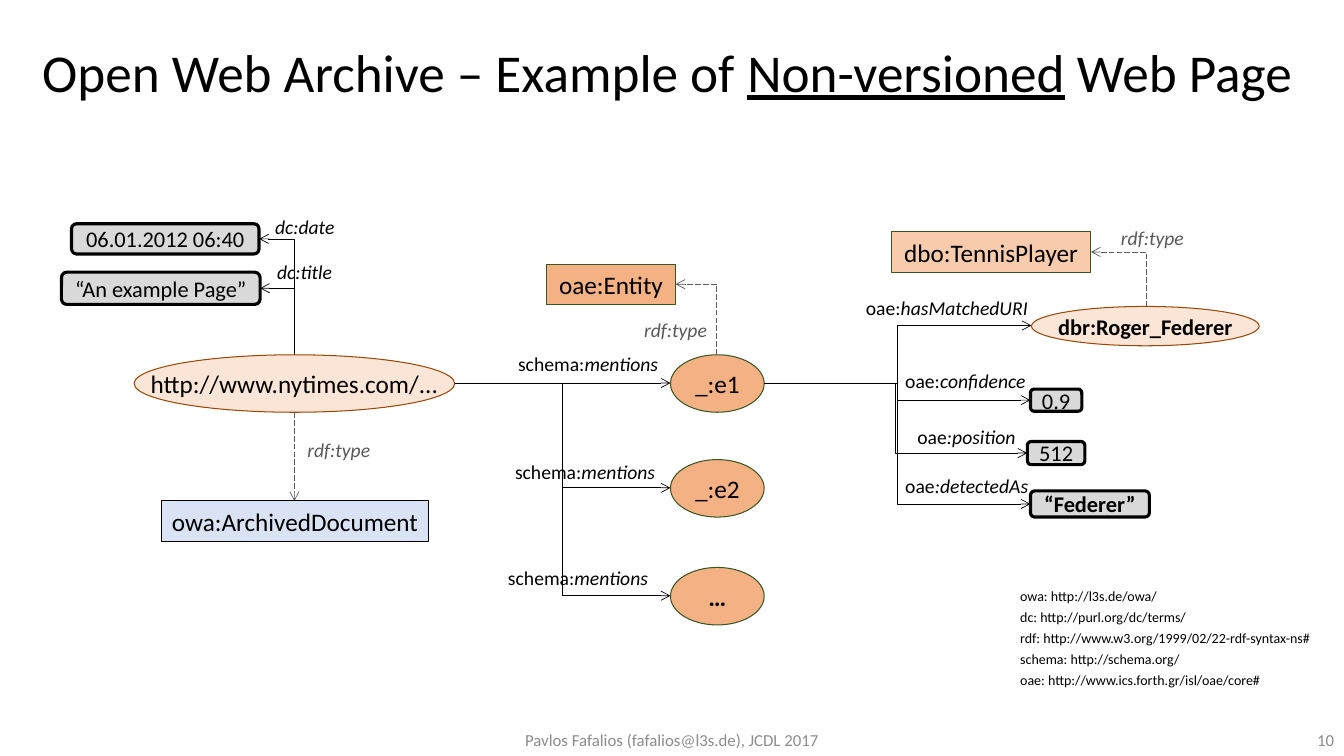
from pptx import Presentation
from pptx.dml.color import RGBColor
from pptx.enum.dml import MSO_LINE
from pptx.enum.shapes import MSO_CONNECTOR, MSO_SHAPE
from pptx.enum.text import MSO_ANCHOR, PP_ALIGN
from pptx.oxml.ns import qn
from pptx.util import Inches, Pt
from lxml import etree

BLACK = RGBColor(0x00, 0x00, 0x00)
GREY = RGBColor(0x59, 0x59, 0x59)
PALE = RGBColor(0x8C, 0x8C, 0x8C)
SILVER = RGBColor(0xD9, 0xD9, 0xD9)
BLUE = RGBColor(0xDA, 0xE3, 0xF3)
CREAM = RGBColor(0xFB, 0xE5, 0xD6)
PEACH = RGBColor(0xF8, 0xCB, 0xAD)
ORANGE = RGBColor(0xF4, 0xB1, 0x83)
BROWN = RGBColor(0x98, 0x48, 0x07)
GREEN = RGBColor(0x38, 0x57, 0x23)

OVAL, RECT, ROUND = MSO_SHAPE.OVAL, MSO_SHAPE.RECTANGLE, MSO_SHAPE.ROUNDED_RECTANGLE
STRAIGHT, ELBOW = MSO_CONNECTOR.STRAIGHT, MSO_CONNECTOR.ELBOW
DASH = MSO_LINE.LONG_DASH
LEFT, CENTER, RIGHT = PP_ALIGN.LEFT, PP_ALIGN.CENTER, PP_ALIGN.RIGHT
TOP, MIDDLE, BOTTOM = MSO_ANCHOR.TOP, MSO_ANCHOR.MIDDLE, MSO_ANCHOR.BOTTOM


def write(frame, lines, size=14, color=BLACK, align=LEFT, anchor=TOP,
          wrap=False, bold=False, italic=False, spacing=None):
    """Each line is a string or a list of (text, font settings) runs."""
    frame.word_wrap = wrap
    frame.vertical_anchor = anchor
    for i, line in enumerate(lines):
        para = frame.paragraphs[0] if i == 0 else frame.add_paragraph()
        para.alignment = align
        if spacing:
            para.line_spacing = spacing
        for words, style in [(line, {})] if isinstance(line, str) else line:
            run = para.add_run()
            run.text = words
            font = run.font
            font.name, font.size, font.color.rgb = "Calibri", Pt(size), color
            font.bold, font.italic = bold, italic
            for key, value in style.items():
                setattr(font, key, value)


def label(slide, x, y, w, h, lines, **style):
    box = slide.shapes.add_textbox(Inches(x), Inches(y), Inches(w), Inches(h))
    write(box.text_frame, lines, **style)


def prop(slide, x, y, w, prefix, name):
    label(slide, x, y, w, 0.34, [[(prefix, {}), (name, {"italic": True})]])


def kind(slide, x, y):
    label(slide, x, y, 0.83, 0.34, ["rdf:type"], color=GREY, italic=True)


def node(slide, form, x, y, w, h, words, fill, edge, size=18, width=0.75, bold=False):
    shape = slide.shapes.add_shape(form, Inches(x), Inches(y), Inches(w), Inches(h))
    shape.shadow.inherit = False
    shape.fill.solid()
    shape.fill.fore_color.rgb = fill
    shape.line.color.rgb = edge
    shape.line.width = Pt(width)
    frame = shape.text_frame
    frame.margin_left = frame.margin_right = frame.margin_top = frame.margin_bottom = 0
    write(frame, [words], size=size, align=CENTER, anchor=MIDDLE, bold=bold)


def pill(slide, x, y, w, h, words, bold=False):
    node(slide, ROUND, x, y, w, h, words, SILVER, BLACK, 16, 2.25, bold)


def arrow(slide, form, x1, y1, x2, y2, color=BLACK, dash=None):
    link = slide.shapes.add_connector(form, Inches(x1), Inches(y1), Inches(x2), Inches(y2))
    link.line.color.rgb = color
    link.line.width = Pt(0.5)
    if dash:
        link.line.dash_style = dash
    etree.SubElement(link.line._get_or_add_ln(), qn("a:tailEnd"), type="arrow")
    etree.SubElement(link._element.spPr, qn("a:effectLst"))
    return link


def corner(slide, x1, y1, x2, y2, **style):
    """Arrow that goes up, then left: a one-bend connector turned by 270 degrees."""
    midx, midy = (x1 + x2) / 2, (y1 + y2) / 2
    dx, dy = (x1 - x2) / 2, (y1 - y2) / 2
    link = arrow(slide, ELBOW, midx - dy, midy + dx, midx + dy, midy - dx, **style)
    props = link._element.spPr
    props.find(qn("a:xfrm")).set("rot", "16200000")
    props.find(qn("a:prstGeom")).set("prst", "bentConnector2")


def heading(slide, x, y, w, h):
    label(slide, x, y, w, h,
          [[("Open Web Archive – Example of ", {}),
            ("Non-versioned", {"underline": True}), (" Web Page", {})]],
          size=38, anchor=MIDDLE, wrap=True, spacing=0.9)


def page(slide, x, y):
    # Archived page, its metadata and its type
    hub = x + 2.31
    corner(slide, hub, y + 1.44, x + 1.96, y + 0.29)
    corner(slide, hub, y + 1.44, x + 1.97, y + 0.78)
    pill(slide, x + 0.1, y + 0.14, 1.86, 0.3, "06.01.2012 06:40")
    pill(slide, x, y + 0.62, 1.97, 0.32, "“An example Page”")
    label(slide, x + 2.02, y, 0.8, 0.34, ["dc:date"], italic=True)
    label(slide, x + 2.04, y + 0.45, 0.76, 0.34, ["dc:title"], italic=True)
    node(slide, OVAL, x + 0.72, y + 1.44, 3.18, 0.57,
         "http://www.nytimes.com/...", CREAM, BROWN)
    arrow(slide, STRAIGHT, hub, y + 2.01, hub, y + 2.89, GREY, DASH)
    kind(slide, x + 2.34, y + 2.22)
    node(slide, RECT, x + 0.99, y + 2.89, 2.65, 0.4, "owa:ArchivedDocument", BLUE, BLACK)


def entities(slide, x, y):
    # Entities mentioned by the page
    start = y + 1.18
    mentions = [("_:e1", 0.9, 0.53, 0.82), ("_:e2", 1.94, 0.5, 1.89), ("…", 3.01, 0.43, 2.95)]
    for words, top, dx, dy in mentions:
        mid = y + top + 0.28
        form = STRAIGHT if words == "_:e1" else ELBOW
        arrow(slide, form, x, start, x + 2.14, mid)
        node(slide, OVAL, x + 2.14, y + top, 0.93, 0.57, words, ORANGE, GREEN,
             bold=words == "…")
        prop(slide, x + dx, y + dy, 1.84, "schema:", "mentions")
    node(slide, RECT, x + 0.91, y, 1.28, 0.4, "oae:Entity", ORANGE, GREEN)
    corner(slide, x + 2.6, y + 0.9, x + 2.19, y + 0.2, color=GREY, dash=DASH)
    kind(slide, x + 1.78, y + 0.48)


def facts(slide, x, y):
    # Properties of the first entity
    start = y + 1.61
    values = [("0.9", 2.64, 1.67, 0.51, 0.22), ("512", 2.61, 2.19, 0.57, 0.23),
              ("“Federer”", 2.64, 2.68, 1.18, 0.26)]
    for words, dx, dy, w, h in values:
        arrow(slide, ELBOW, x, start, x + dx, y + dy + h / 2)
        pill(slide, x + dx, y + dy, w, h, words, bold=words == "“Federer”")
    arrow(slide, ELBOW, x, start, x + 2.65, y + 1.04)
    prop(slide, x + 0.91, y + 0.7, 1.83, "oae:", "hasMatchedURI")
    prop(slide, x + 1.3, y + 1.42, 1.41, "oae:", "confidence")
    prop(slide, x + 1.42, y + 1.98, 1.19, "oae", ":position")
    prop(slide, x + 1.3, y + 2.46, 1.43, "oae", ":detectedAs")
    # Matched resource and its type
    node(slide, OVAL, x + 2.65, y + 0.85, 2.26, 0.39, "dbr:Roger_Federer",
         CREAM, BROWN, 16, bold=True)
    corner(slide, x + 3.79, y + 0.85, x + 3.24, y + 0.31, color=GREY, dash=DASH)
    node(slide, RECT, x + 1.26, y + 0.11, 1.98, 0.4, "dbo:TennisPlayer", PEACH, GREEN)
    kind(slide, x + 3.44, y)


def legend(slide, x, y, w, h):
    label(slide, x, y, w, h,
          ["owa: http://l3s.de/owa/",
           "dc: http://purl.org/dc/terms/",
           "rdf: http://www.w3.org/1999/02/22-rdf-syntax-ns#",
           "schema: http://schema.org/",
           "oae: http://www.ics.forth.gr/isl/oae/core#"],
          size=10, spacing=Pt(15))


def footer(slide, x, y, w, h):
    style = dict(size=12, color=PALE, anchor=BOTTOM, wrap=True)
    label(slide, x, y, w, h, ["Pavlos Fafalios (fafalios@l3s.de), JCDL 2017"],
          align=CENTER, **style)
    label(slide, x + w - 0.43, y, 0.43, h, ["10"], align=RIGHT, **style)


def main():
    deck = Presentation()
    deck.slide_width, deck.slide_height = Inches(13.33), Inches(7.5)
    slide = deck.slides.add_slide(deck.slide_layouts[6])
    heading(slide, 0.32, 0.02, 12.68, 1.45)
    page(slide, 0.61, 2.08)
    entities(slide, 4.51, 2.62)
    facts(slide, 7.58, 2.19)
    legend(slide, 10.02, 5.74, 3.15, 1.14)
    footer(slide, 0, 7.09, 13.33, 0.4)
    deck.save("out.pptx")


if __name__ == "__main__":
    main()
